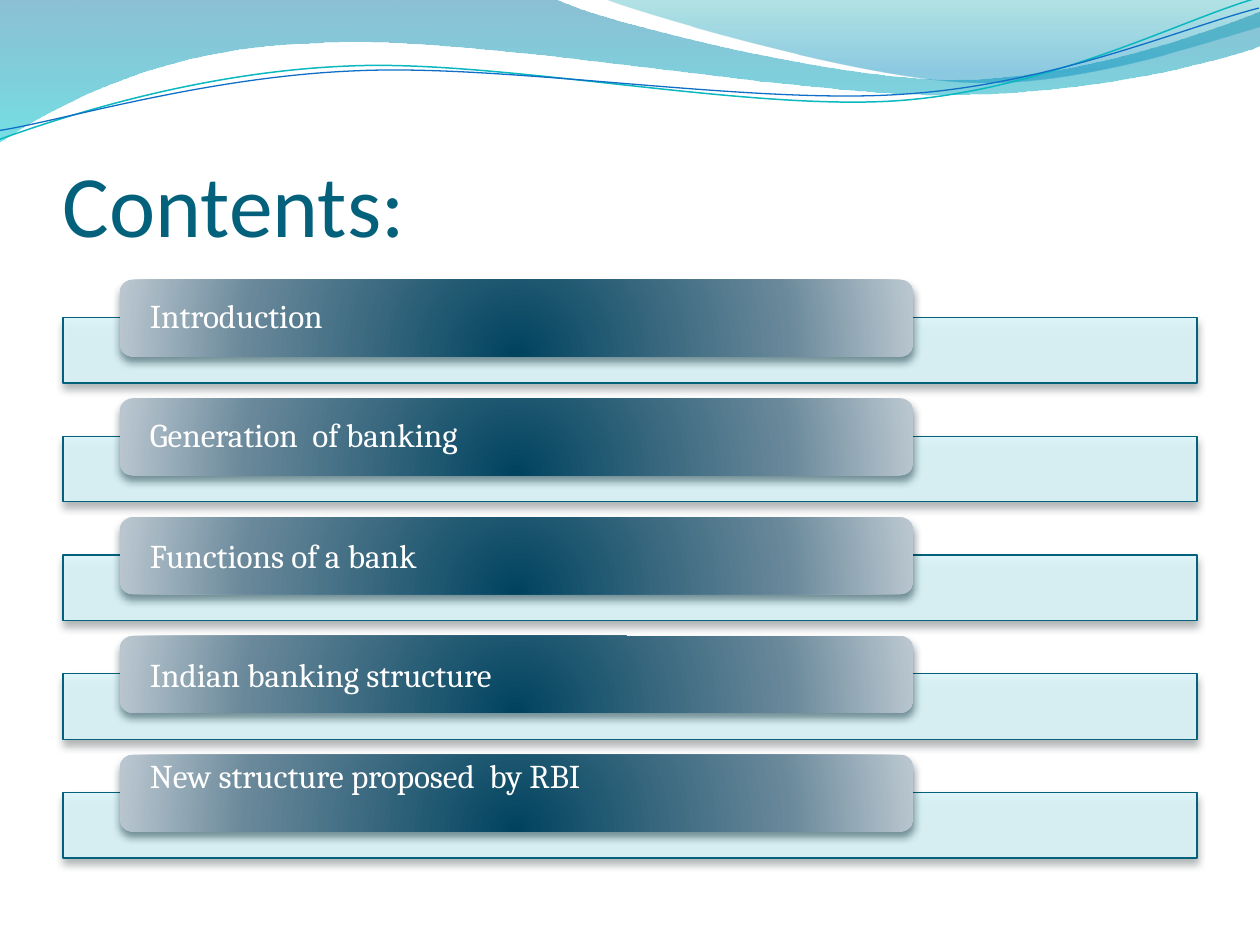
from lxml import etree
from pptx import Presentation
from pptx import util as u
from pptx.dml.color import RGBColor
from pptx.enum import shapes, text
from pptx.oxml import parse_xml
from pptx.oxml.ns import nsdecls, qn

# Content: topic and line spacing
TITLE = "Contents:"
TOPICS = [
    ("Introduction", 0.9),
    ("Generation  of banking", 0.9),
    ("Functions of a bank", 1.0),
    ("Indian banking structure", 1.0),
    ("New structure proposed  by RBI", 0.9),
]

# Colours
TEAL_DARK = RGBColor(0x04, 0x61, 0x7B)
ICE = RGBColor(0xDB, 0xF5, 0xF9)
WHITE = RGBColor(0xFF, 0xFF, 0xFF)
AQUA = RGBColor(0x0A, 0xB8, 0xBF)
BLUE = RGBColor(0x0F, 0x6F, 0xC6)
BAR_SHADOW = RGBColor(0x4D, 0x56, 0x58)
LABEL_SHADOW = RGBColor(0x00, 0x23, 0x2C)

# Gradient stops: position %, colour, opacity %
WAVE_STOPS = [(0, "0074A1", 45), (100, "00C6CF", 55)]
CREST_STOPS = [(0, "00A1A9", 30), (80, "008BBF", 45)]
LABEL_STOPS = [(0, "00435F", 100), (68, "69889A", 100), (100, "B9C6CF", 100)]
DOWNWARD = '<a:lin ang="5400000" scaled="1"/>'
FROM_BELOW = ('<a:path path="circle"><a:fillToRect l="50000" t="130000" '
              'r="50000" b="-30000"/></a:path>')

# Outlines in inches: a pair is a line end, six numbers are a Bezier curve
WAVE = [(0, 0), (4.4, -0.01), (4.76, 0.17, 6.64, 0.63, 7.58, 0.63),
        (8.53, 0.63, 9.58, 0.26, 10, 0.09), (10.01, 0.36),
        (9.83, 0.44, 8.7, 0.76, 7.46, 0.75), (6.22, 0.75, 3.82, 0.28, 2.57, 0.34),
        (1.29, 0.36, 0.46, 0.83, -0.01, 1.13)]
CREST = [(4.79, -0.01), (5.09, 0.11, 6.82, 0.62, 7.69, 0.65),
         (8.56, 0.69, 9.61, 0.32, 10, 0.21), (10, 0)]
# The two lines are given level and then tilted
AQUA_LINE = [(-0.02, 0.87), (0.47, 0.72, 1.58, 0.41, 2.77, 0.42),
             (3.96, 0.42, 5.91, 0.93, 7.12, 0.9), (8.32, 0.87, 9.4, 0.36, 10, 0.22)]
BLUE_LINE = [(-0.02, 0.8), (0.46, 0.75, 1.64, 0.45, 2.83, 0.46),
             (4.03, 0.46, 5.96, 0.88, 7.16, 0.85), (8.35, 0.83, 9.42, 0.42, 10.01, 0.3)]
TILT = -2.7

# Layout in inches
MARGIN, WIDTH = 0.5, 9
FIRST_ROW, LAST_ROW = 2.22, 5.99
ROW_PITCH = (LAST_ROW - FIRST_ROW) / (len(TOPICS) - 1)
BAR_OFFSET, BAR_HEIGHT = 0.3, 0.52
LABEL_WIDTH, LABEL_HEIGHT = 0.7 * WIDTH, 0.61
LABEL_LEFT = MARGIN + 0.05 * WIDTH


def add_outline(slide, outline, close):
    """Draw through all points, then join each curve's three points into a Bezier."""
    points = [(u.Inches(segment[i]), u.Inches(segment[i + 1]))
              for segment in outline for i in range(0, len(segment), 2)]
    builder = slide.shapes.build_freeform(*points[0])
    builder.add_line_segments(points[1:], close=close)
    shape = builder.convert_to_shape()
    lines = iter(list(shape.element.iter(qn("a:lnTo"))))
    for segment in outline[1:]:
        line = next(lines)
        if len(segment) == 6:
            curve = etree.Element(qn("a:cubicBezTo"))
            line.addprevious(curve)
            for part in (line, next(lines), next(lines)):
                curve.append(part[0])
                part.getparent().remove(part)
    shape.shadow.inherit = False
    return shape


def set_gradient(shape, stops, direction):
    shape.fill.background()
    stop_xml = "".join(
        f'<a:gs pos="{position * 1000}"><a:srgbClr val="{colour}">'
        f'<a:alpha val="{opacity * 1000}"/></a:srgbClr></a:gs>'
        for position, colour, opacity in stops)
    properties = shape.element.spPr
    properties.replace(properties.find(qn("a:noFill")), parse_xml(
        f'<a:gradFill {nsdecls("a")} rotWithShape="1"><a:gsLst>{stop_xml}</a:gsLst>'
        f'{direction}</a:gradFill>'))
    shape.line.fill.background()


def set_shadow(shape, colour):
    shape.shadow.inherit = False
    shape.element.spPr.find(qn("a:effectLst")).append(parse_xml(
        f'<a:outerShdw {nsdecls("a")} blurRad="57150" dist="38100" dir="5400000" '
        f'algn="ctr" rotWithShape="0"><a:srgbClr val="{colour}">'
        f'<a:alpha val="48000"/></a:srgbClr></a:outerShdw>'))


def write(shape, words, font_name, size, colour, anchor, margins):
    frame = shape.text_frame
    frame.word_wrap = True
    frame.vertical_anchor = anchor
    (frame.margin_left, frame.margin_top,
     frame.margin_right, frame.margin_bottom) = map(u.Inches, margins)
    paragraph = frame.paragraphs[0]
    paragraph.text = words
    paragraph.alignment = text.PP_ALIGN.LEFT
    font = paragraph.font
    font.name, font.size = font_name, u.Pt(size)
    font.color.rgb = colour
    return paragraph


def add_box(slide, kind, left, top, width, height):
    return slide.shapes.add_shape(kind, *map(u.Inches, (left, top, width, height)))


def add_topic(slide, row, topic, spacing):
    top = FIRST_ROW + row * ROW_PITCH
    # Pale bar behind
    bar = add_box(slide, shapes.MSO_SHAPE.RECTANGLE,
                  MARGIN, top + BAR_OFFSET, WIDTH, BAR_HEIGHT)
    bar.fill.solid()
    bar.fill.fore_color.rgb = ICE
    fill_colour = bar.element.spPr.find(qn("a:solidFill")).find(qn("a:srgbClr"))
    etree.SubElement(fill_colour, qn("a:alpha"), val="90000")
    bar.line.color.rgb = TEAL_DARK
    bar.line.width = u.Pt(0.75)
    set_shadow(bar, BAR_SHADOW)
    # Rounded label in front; the last one holds its text higher
    label = add_box(slide, shapes.MSO_SHAPE.ROUNDED_RECTANGLE,
                    LABEL_LEFT, top, LABEL_WIDTH, LABEL_HEIGHT)
    set_gradient(label, LABEL_STOPS, FROM_BELOW)
    set_shadow(label, LABEL_SHADOW)
    lift = 0.24 if row == len(TOPICS) - 1 else 0
    paragraph = write(label, topic, "Cambria", 19, WHITE, text.MSO_ANCHOR.MIDDLE,
                      (0.21, 0, 0.21, lift))
    paragraph.line_spacing = spacing


def main():
    presentation = Presentation()
    presentation.slide_width, presentation.slide_height = u.Inches(10), u.Inches(7.5)
    slide = presentation.slides.add_slide(presentation.slide_layouts[6])

    # Waves along the top
    for outline, stops in ((WAVE, WAVE_STOPS), (CREST, CREST_STOPS)):
        set_gradient(add_outline(slide, outline, True), stops, DOWNWARD)
    for outline, colour, width in ((AQUA_LINE, AQUA, 0.85), (BLUE_LINE, BLUE, 0.75)):
        curve = add_outline(slide, outline, False)
        curve.rotation = TILT
        curve.fill.background()
        curve.line.color.rgb = colour
        curve.line.width = u.Pt(width)

    # Title
    title = slide.shapes.add_textbox(*map(u.Inches, (MARGIN, 0.77, WIDTH, 1.25)))
    write(title, TITLE, "Calibri", 50, TEAL_DARK, text.MSO_ANCHOR.BOTTOM, (0, 0.05, 0, 0))

    # Topics
    for row, (topic, spacing) in enumerate(TOPICS):
        add_topic(slide, row, topic, spacing)

    presentation.save("out.pptx")


if __name__ == "__main__":
    main()
